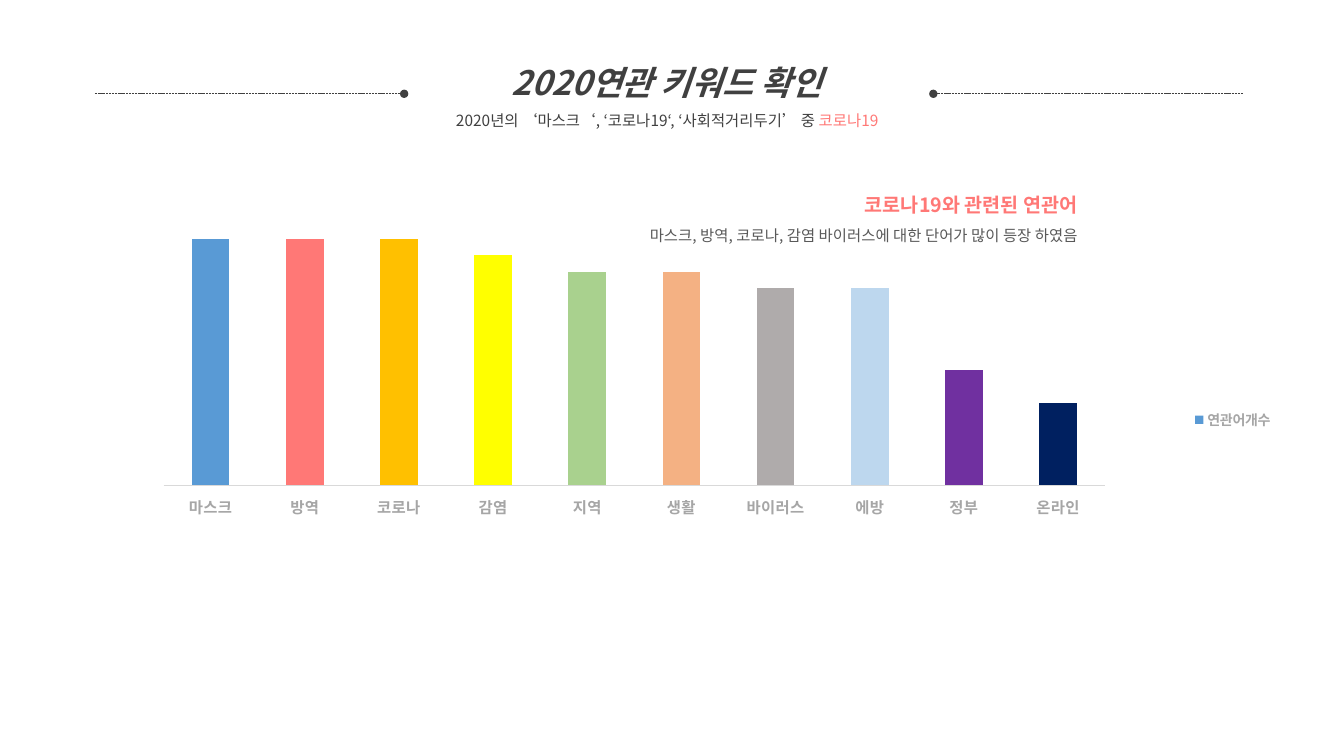
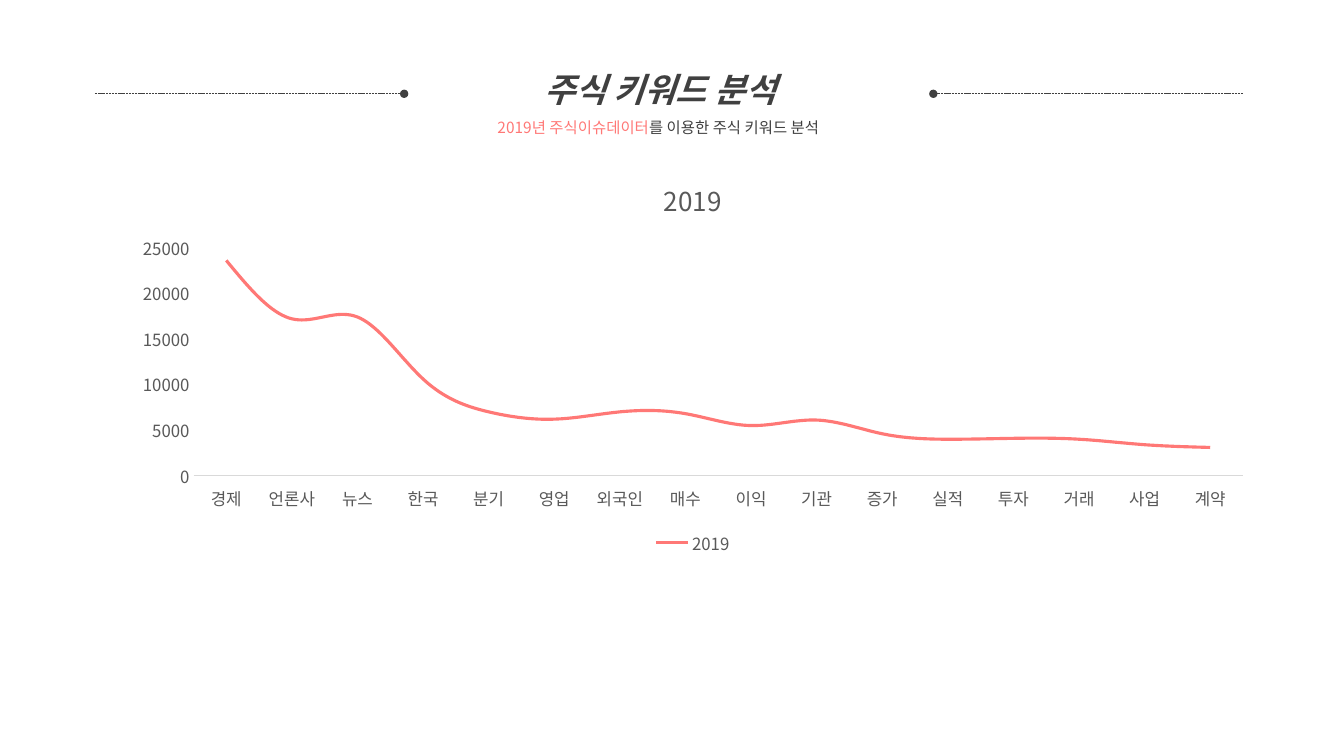
from lxml.etree import SubElement
from pptx import Presentation
from pptx.chart.data import CategoryChartData
from pptx.dml.color import RGBColor
from pptx.enum.chart import (XL_CHART_TYPE, XL_LEGEND_POSITION, XL_MARKER_STYLE,
                             XL_TICK_LABEL_POSITION, XL_TICK_MARK)
from pptx.enum.dml import MSO_LINE
from pptx.enum.shapes import MSO_CONNECTOR
from pptx.enum.text import MSO_AUTO_SIZE, PP_ALIGN
from pptx.oxml import parse_xml
from pptx.oxml.ns import nsdecls, qn
from pptx.util import Pt

FONT = "Noto Sans CJK KR"
DARK = RGBColor(0x40, 0x40, 0x40)
GREY = RGBColor(0x59, 0x59, 0x59)
PALE = RGBColor(0xA6, 0xA6, 0xA6)
RULE = RGBColor(0xD9, 0xD9, 0xD9)
CORAL = RGBColor(0xFF, 0x78, 0x76)
BARS = [RGBColor.from_string(code) for code in (
    "599AD5", "FF7876", "FFC000", "FFFF00", "A9D18E",
    "F4B183", "AFABAB", "BDD7EE", "7030A0", "002060")]

WORDS = {"마스크": 100, "방역": 100, "코로나": 100, "감염": 99, "지역": 98,
         "생활": 98, "바이러스": 97, "에방": 97, "정부": 92, "온라인": 90}
STOCKS = {"경제": 23600, "언론사": 17200, "뉴스": 17400, "한국": 10600,
          "분기": 7000, "영업": 6200, "외국인": 7000, "매수": 6800,
          "이익": 5500, "기관": 6100, "증가": 4600, "실적": 4000,
          "투자": 4100, "거래": 4000, "사업": 3400, "계약": 3100}


def style(font, size, color, bold=False, italic=False):
    font.name = FONT
    font.size = Pt(size)
    font.color.rgb = color
    font.bold = bold
    font.italic = italic


def hangul(root):
    """Give East Asian text the same font as Latin text."""
    for latin in list(root.iter(qn("a:latin"))):
        latin.addnext(parse_xml(f'<a:ea {nsdecls("a")} typeface="{FONT}"/>'))


def inner(chart, **parts):
    """Place the inner plot area by fractions of the chart."""
    area = chart.element.find(".//" + qn("c:plotArea"))
    for old in area.findall(qn("c:layout")):
        area.remove(old)
    layout = parse_xml(f'<c:layout {nsdecls("c")}/>')
    area.insert(0, layout)
    manual = SubElement(layout, qn("c:manualLayout"))
    marks = {"layoutTarget": "inner", "xMode": "edge", "yMode": "edge"}
    for name, value in {**marks, **parts}.items():
        SubElement(manual, qn("c:" + name)).set("val", str(value))


class Deck:
    def __init__(self):
        self.prs = Presentation()
        self.prs.slide_width, self.prs.slide_height = Pt(960), Pt(540)
        self.slide = None

    def start(self):
        self.slide = self.prs.slides.add_slide(self.prs.slide_layouts[6])
        self.rule(67.7, 288.7)
        self.rule(887.8, 666.7)

    def rule(self, start, end, y=67):
        """Draw a dotted line that ends in a dot."""
        line = self.slide.shapes.add_connector(
            MSO_CONNECTOR.STRAIGHT, Pt(start), Pt(y), Pt(end), Pt(y))
        line.line.color.rgb = DARK
        line.line.width = Pt(0.5)
        line.line.dash_style = MSO_LINE.SQUARE_DOT
        SubElement(line.line._get_or_add_ln(), qn("a:tailEnd")).set("type", "oval")
        SubElement(line.element.spPr, qn("a:effectLst"))

    def text(self, lines, x, y, w, h, align=PP_ALIGN.CENTER):
        """Each line is a list of (text, format) pairs."""
        frame = self.slide.shapes.add_textbox(Pt(x), Pt(y), Pt(w), Pt(h)).text_frame
        frame.word_wrap = True
        frame.auto_size = MSO_AUTO_SIZE.SHAPE_TO_FIT_TEXT
        for n, runs in enumerate(lines):
            para = frame.add_paragraph() if n else frame.paragraphs[0]
            para.alignment = align
            para.line_spacing = 1.5
            for words, look in runs:
                run = para.add_run()
                run.text = words
                style(run.font, **look)

    def title(self, head, notes, x, y):
        top = [(head, dict(size=24, color=DARK, bold=True, italic=True))]
        sub = [(words, dict(size=11, color=color)) for words, color in notes]
        self.text([top, sub], x, y, 371.5, 70.6)

    def chart(self, kind, name, values, x, y, w, h, place):
        data = CategoryChartData()
        data.categories = list(values)
        data.add_series(name, list(values.values()))
        chart = self.slide.shapes.add_chart(
            kind, Pt(x), Pt(y), Pt(w), Pt(h), data).chart
        chart.font.name = FONT
        chart.font.size = Pt(10)
        chart.has_title = False
        chart.has_legend = True
        chart.legend.position = place
        chart.legend.include_in_layout = False
        chart.plots[0].vary_by_categories = False
        for axis in (chart.category_axis, chart.value_axis):
            axis.major_tick_mark = axis.minor_tick_mark = XL_TICK_MARK.NONE
            axis.has_major_gridlines = False
        base = chart.category_axis
        base.tick_label_position = XL_TICK_LABEL_POSITION.LOW
        base.format.line.color.rgb = RULE
        base.format.line.width = Pt(0.75)
        return chart

    def columns(self, name, values, *box):
        chart = self.chart(XL_CHART_TYPE.COLUMN_CLUSTERED, name, values, *box,
                           XL_LEGEND_POSITION.RIGHT)
        inner(chart, x=0.069, y=0.04, w=0.783, h=0.601)
        style(chart.category_axis.tick_labels.font, 11, PALE, bold=True)
        style(chart.legend.font, 10, PALE, bold=True)
        axis = chart.value_axis
        axis.visible = False
        axis.minimum_scale, axis.maximum_scale = 85, 102
        plot = chart.plots[0]
        plot.gap_width = 150
        series = plot.series[0]
        series.format.fill.solid()
        series.format.fill.fore_color.rgb = BARS[0]
        for n, color in enumerate(BARS[1:], 1):
            fill = series.points[n].format.fill
            fill.solid()
            fill.fore_color.rgb = color
        hangul(chart.element)

    def curve(self, name, values, *box):
        chart = self.chart(XL_CHART_TYPE.LINE, name, values, *box,
                           XL_LEGEND_POSITION.BOTTOM)
        frame = chart.chart_title.text_frame
        frame.text = name
        style(frame.paragraphs[0].runs[0].font, 18.6, GREY)
        for part in (chart.category_axis.tick_labels,
                     chart.value_axis.tick_labels, chart.legend):
            style(part.font, 12, GREY)
        axis = chart.value_axis
        axis.minimum_scale, axis.maximum_scale = 0, 25000
        axis.major_unit = 5000
        axis.format.line.fill.background()
        series = chart.plots[0].series[0]
        series.smooth = True
        series.marker.style = XL_MARKER_STYLE.NONE
        series.format.line.color.rgb = CORAL
        series.format.line.width = Pt(2.25)
        hangul(chart.element)

    def save(self):
        for slide in self.prs.slides:
            hangul(slide.element)
        self.prs.save("out.pptx")


def main():
    deck = Deck()

    deck.start()
    deck.columns("연관어개수", WORDS, 57.6, 133.9, 859, 331.9)
    deck.title("2020연관 키워드 확인",
               [("2020년의 ‘마스크‘, ‘코로나19‘, ‘사회적거리두기’ 중 ", DARK),
                ("코로나19", CORAL)], 290.9, 25.9)
    deck.text([[("코로나19와 관련된 연관어", dict(size=14, color=CORAL, bold=True))],
               [("마스크, 방역, 코로나, 감염 바이러스에 대한 단어가 많이 등장 하였음",
                 dict(size=11, color=GREY))]],
              416.2, 126, 360.7, 52.6, PP_ALIGN.RIGHT)

    deck.start()
    deck.title("주식 키워드 분석",
               [("2019년 주식이슈데이터", CORAL),
                ("를 이용한 주식 키워드 분석 ", DARK)], 285.8, 31)
    deck.curve("2019", STOCKS, 85.7, 114.5, 818.6, 285.1)

    deck.save()


if __name__ == "__main__":
    main()
